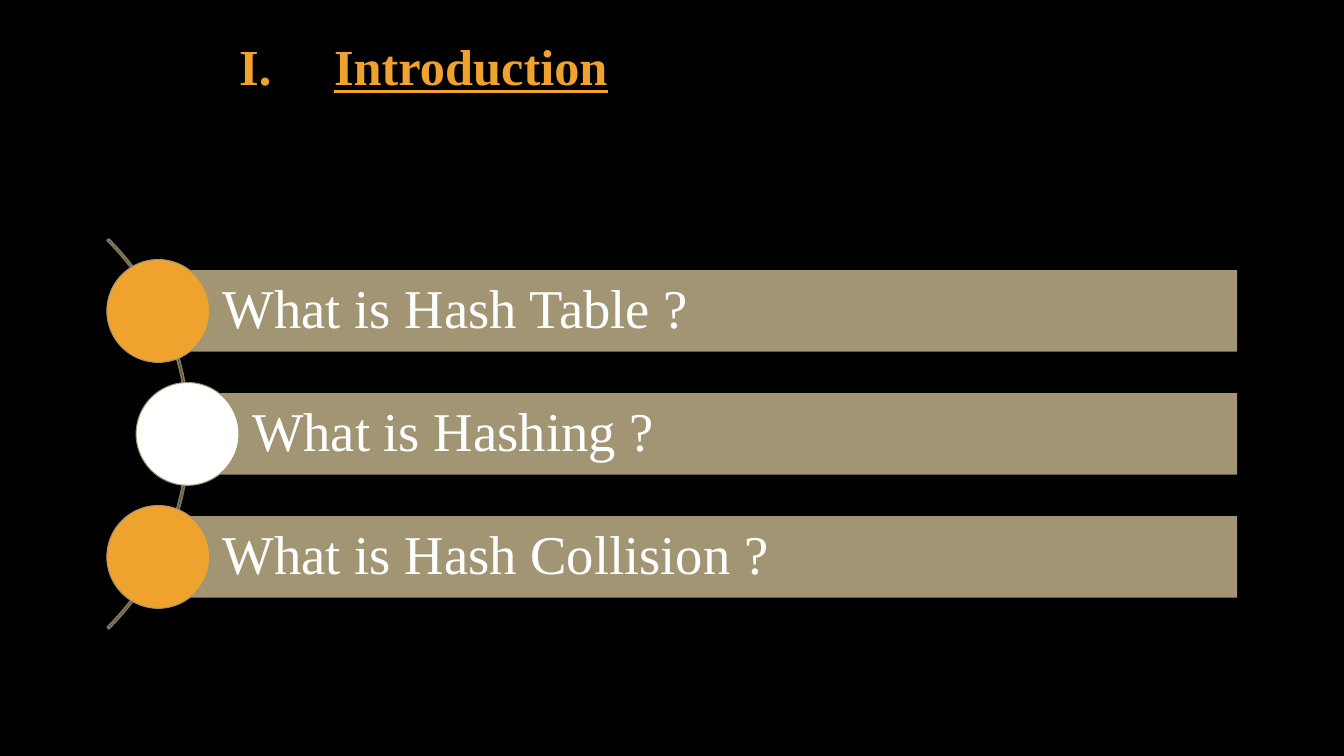
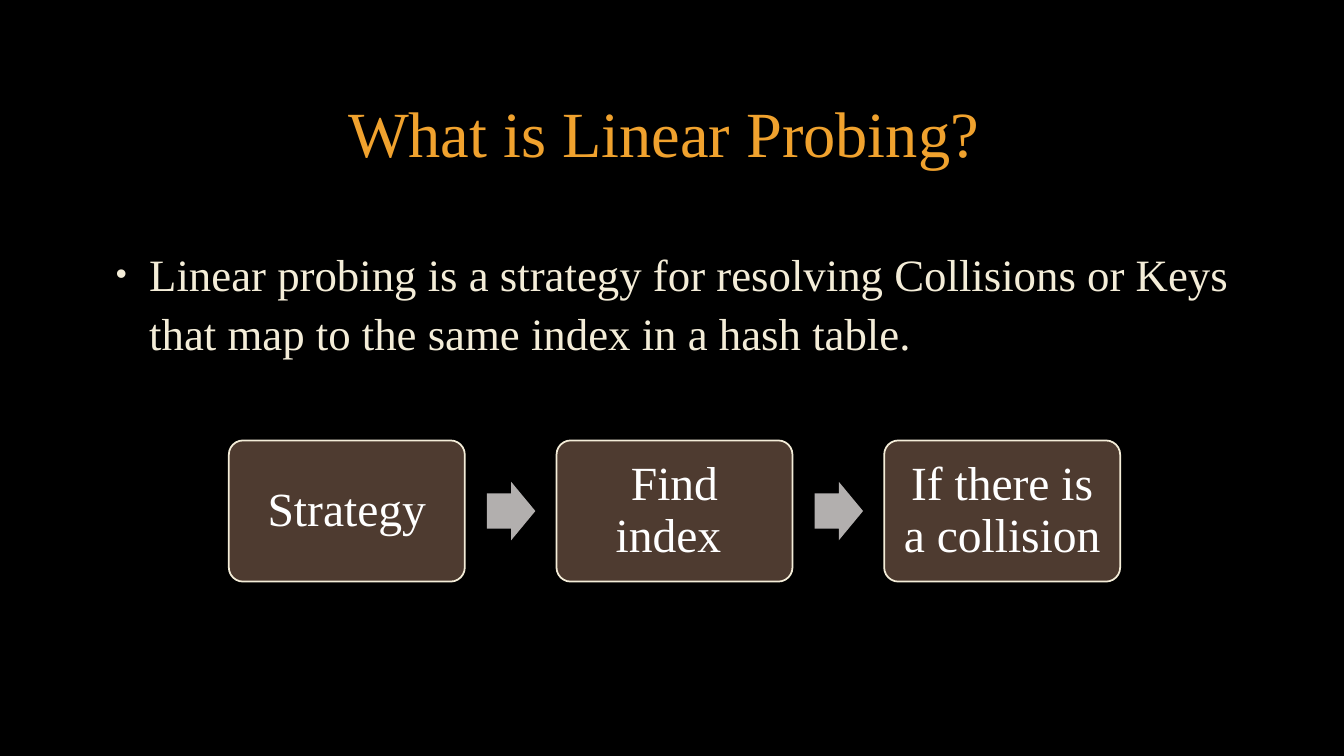
from lxml import etree
from pptx import Presentation
from pptx.dml.color import RGBColor
from pptx.enum.shapes import MSO_SHAPE
from pptx.enum.text import MSO_ANCHOR, MSO_AUTO_SIZE, PP_ALIGN
from pptx.oxml.ns import qn
from pptx.util import Inches, Pt

RECT, CIRCLE, ARC = MSO_SHAPE.RECTANGLE, MSO_SHAPE.OVAL, MSO_SHAPE.BLOCK_ARC
ROUNDED, ARROW = MSO_SHAPE.ROUNDED_RECTANGLE, MSO_SHAPE.RIGHT_ARROW
LEFT, CENTER, MIDDLE = PP_ALIGN.LEFT, PP_ALIGN.CENTER, MSO_ANCHOR.MIDDLE

FONT = "Times New Roman"
BLACK, WHITE, ORANGE, CREAM = "000000", "FFFFFF", "F0A22E", "F4EDD8"
KHAKI, OLIVE, BROWN, GRAY = "A19574", "81775D", "4E3B30", "B2AFAE"


def add_figure(slide, kind, box, fill=None, line=None, width=0.75, adjust=()):
    """Draw a preset shape; box is left, top, width, height in inches."""
    figure = slide.shapes.add_shape(kind, *map(Inches, box))
    figure.shadow.inherit = False
    for index, value in enumerate(adjust):
        figure.adjustments[index] = value
    for paint, color in ((figure.fill, fill), (figure.line.fill, line)):
        if color:
            paint.solid()
            paint.fore_color.rgb = RGBColor.from_string(color)
        else:
            paint.background()
    if line:
        figure.line.width = Pt(width)
    return figure


def write(shape, text, size, color, align=CENTER, spacing=0.9, anchor=MIDDLE,
          box=None, bullet=(), indent=(0, 0)):
    """Fill a shape or placeholder with one styled paragraph."""
    if box:
        shape.left, shape.top, shape.width, shape.height = map(Inches, box)
    frame = shape.text_frame
    frame.word_wrap = True
    frame.auto_size = MSO_AUTO_SIZE.NONE
    frame.vertical_anchor = anchor
    frame.text = text
    paragraph = frame.paragraphs[0]
    paragraph.alignment = align
    paragraph.line_spacing = spacing
    paragraph.space_before = Pt(0)
    if bullet:
        properties = paragraph._p.get_or_add_pPr()
        properties.set("marL", str(Inches(indent[0])))
        properties.set("indent", str(Inches(indent[1])))
        bullet_color = etree.SubElement(properties, qn("a:buClr"))
        etree.SubElement(bullet_color, qn("a:srgbClr"), val=color)
        for tag, attributes in bullet:
            etree.SubElement(properties, qn(tag), attributes)
    font = paragraph.font
    font.name, font.size = FONT, Pt(size)
    font.color.rgb = RGBColor.from_string(color)
    return paragraph


prs = Presentation()
prs.slide_width, prs.slide_height = Inches(13.33), Inches(7.5)

# Shared black background
background = prs.slide_master.background.fill
background.solid()
background.fore_color.rgb = RGBColor.from_string(BLACK)

# Slide 1: introduction
intro = prs.slides.add_slide(prs.slide_layouts[5])
heading = write(intro.shapes.title, "Introduction", 36, ORANGE,
                box=(0, 0, 8.4, 1.38), indent=(0.94, -0.94),
                bullet=[("a:buFont", {"typeface": "+mj-lt"}),
                        ("a:buAutoNum", {"type": "romanUcPeriod"})])
heading.font.bold = heading.font.underline = True

add_figure(intro, ARC, (-3.59, 1.57, 5.47, 5.47), line=OLIVE, width=1.25,
           adjust=(189, 27, 0.004))

# Question bars, each with a circle centred on its left edge
BAR_RIGHT, BAR_HEIGHT, CIRCLE_SIZE = 12.27, 0.81, 1.02
questions = [("What is Hash Table ?", 1.57, ORANGE),
             ("What is Hashing ?", 1.86, WHITE),
             ("What is Hash Collision ?", 1.57, ORANGE)]
for row, (question, left, circle_color) in enumerate(questions):
    top = 2.68 + row * 1.22
    bar = add_figure(intro, RECT, (left, top, BAR_RIGHT - left, BAR_HEIGHT), KHAKI)
    write(bar, question, 39, WHITE, align=LEFT)
    bar.text_frame.margin_left = Inches(0.64)
    add_figure(intro, CIRCLE,
               (left - CIRCLE_SIZE / 2, top + (BAR_HEIGHT - CIRCLE_SIZE) / 2,
                CIRCLE_SIZE, CIRCLE_SIZE), circle_color, KHAKI)

# Slide 2: linear probing
probing = prs.slides.add_slide(prs.slide_layouts[1])
write(probing.shapes.title, "What is Linear Probing? ", 46, ORANGE,
      box=(1, 0.67, 11.32, 1.38))
definition = probing.placeholders[1]
write(definition,
      "Linear probing is a strategy for resolving Collisions or Keys "
      "that map to the same index in a hash table.",
      32, CREAM, align=LEFT, spacing=1.1, anchor=MSO_ANCHOR.TOP,
      box=(1, 2.27, 11.32, 1.68), indent=(0.38, -0.33),
      bullet=[("a:buSzPct", {"val": "70000"}),
              ("a:buFont", {"typeface": "Arial"}),
              ("a:buChar", {"char": "•"})])
definition.text_frame.margin_top = Inches(0.12)

# Steps joined by block arrows
steps = ["Strategy", "Find index ", "If there is a collision"]
for column, step in enumerate(steps):
    left = 2.27 + column * 3.25
    card = add_figure(probing, ROUNDED, (left, 4.37, 2.34, 1.4), BROWN, CREAM,
                      width=1.25, adjust=(0.1,))
    write(card, step, 34, WHITE)
    card.text_frame.margin_left = card.text_frame.margin_right = Inches(0.14)
    if column < len(steps) - 1:
        add_figure(probing, ARROW, (left + 2.56, 4.78, 0.48, 0.58), GRAY,
                   adjust=(0.6, 0.5))

prs.save("out.pptx")
